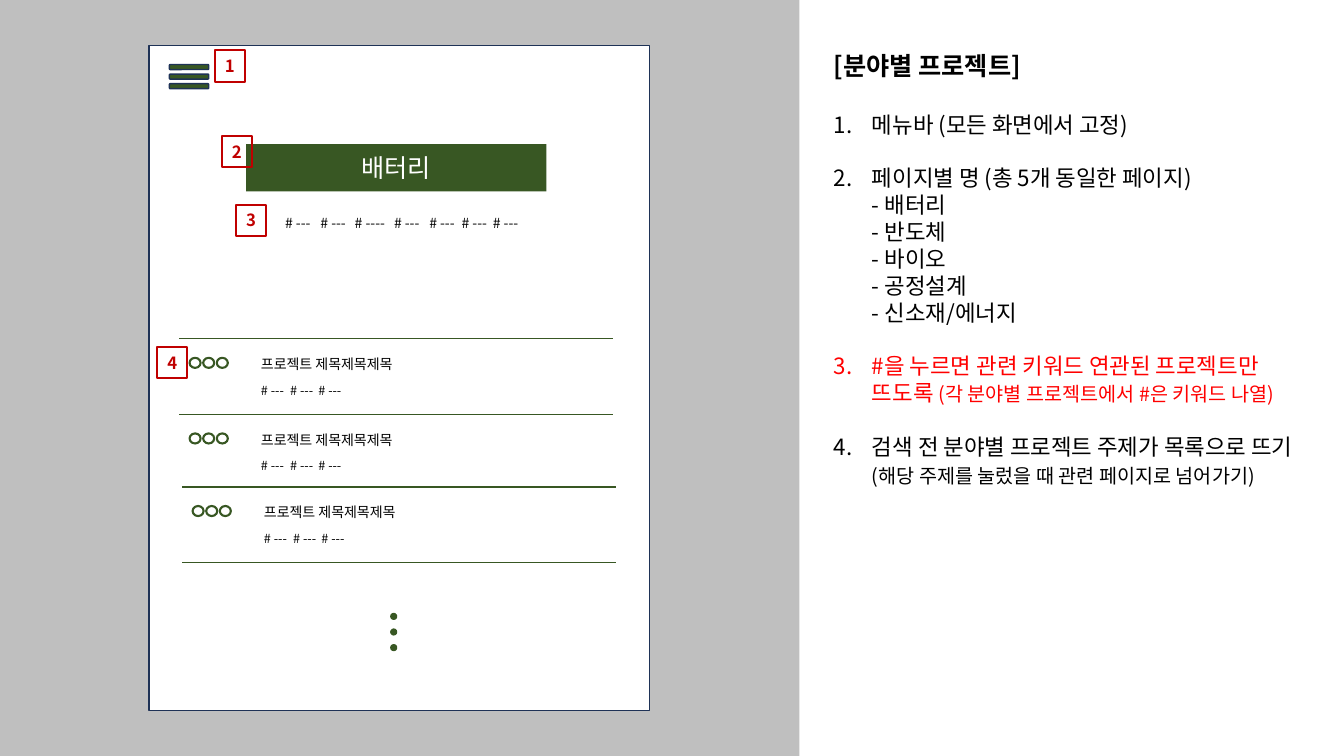
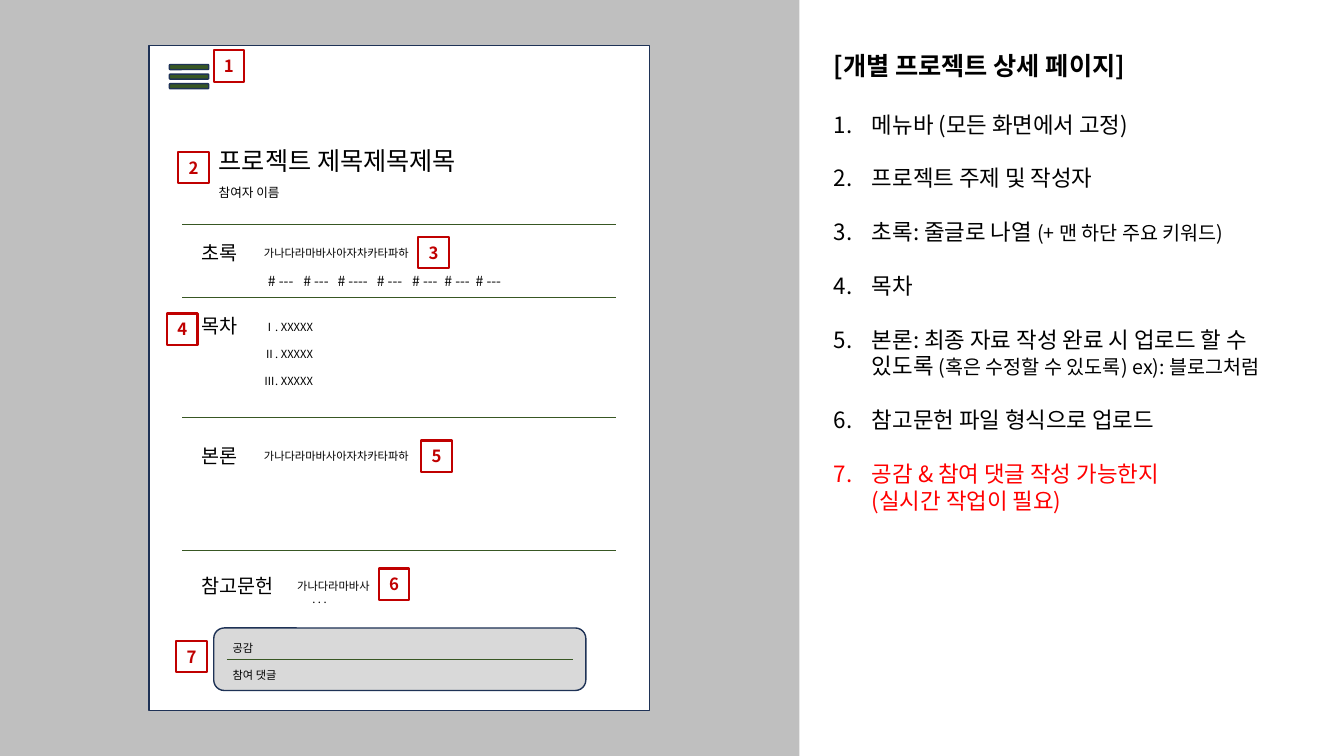
from lxml.etree import SubElement
from pptx import Presentation
from pptx.dml.color import RGBColor
from pptx.enum.shapes import MSO_CONNECTOR, MSO_SHAPE
from pptx.enum.text import MSO_ANCHOR, PP_ALIGN
from pptx.oxml.ns import qn
from pptx.util import Inches, Pt

BLACK = RGBColor(0x00, 0x00, 0x00)
WHITE = RGBColor(0xFF, 0xFF, 0xFF)
GRAY = RGBColor(0xBF, 0xBF, 0xBF)
PALE = RGBColor(0xD9, 0xD9, 0xD9)
GREEN = RGBColor(0x38, 0x57, 0x23)
NAVY = RGBColor(0x1E, 0x32, 0x56)
CRIMSON = RGBColor(0xC0, 0x00, 0x00)
RED = RGBColor(0xFF, 0x00, 0x00)
KR = "Noto Sans CJK KR"
SC = "Noto Sans CJK SC"
LEADING = 1.2


def draw(shapes, preset, box, fill=None, line=None, weight=1):
    part = shapes.add_shape(preset, *map(Inches, box))
    part.shadow.inherit = False
    if fill is None:
        part.fill.background()
    else:
        part.fill.solid()
        part.fill.fore_color.rgb = fill
    if line is None:
        part.line.fill.background()
    else:
        part.line.color.rgb = line
        part.line.width = Pt(weight)
    return part


def write(frame, paragraphs, name=KR, color=BLACK, bold=False, align=PP_ALIGN.LEFT):
    frame.word_wrap = True
    for index, (runs, before, tabs) in enumerate(paragraphs):
        paragraph = frame.add_paragraph() if index else frame.paragraphs[0]
        layout = {
            "alignment": align,
            "line_spacing": Pt(runs[0][1] * LEADING),
            "space_before": Pt(before * LEADING),
        }
        for key, value in layout.items():
            setattr(paragraph, key, value)
        if tabs:
            stops = SubElement(paragraph._p.get_or_add_pPr(), qn("a:tabLst"))
            for stop in tabs:
                SubElement(stops, qn("a:tab"), pos=str(Inches(stop)), algn="l")
        for text, size in runs:
            for number, line in enumerate(text.split("\n")):
                if number:
                    paragraph.add_line_break()
                if not line:
                    continue
                run = paragraph.add_run()
                run.text = line
                style = {"name": name, "size": Pt(size), "bold": bold}
                for key, value in style.items():
                    setattr(run.font, key, value)
                run.font.color.rgb = color
                SubElement(run._r.get_or_add_rPr(), qn("a:ea"), typeface=name)
    return frame


MENU_NOTE = [("메뉴바 (모든 화면에서 고정)", 16)]
SCREENS = [
    {
        "heading": "[분야별 프로젝트]",
        "notes": [
            MENU_NOTE,
            [("페이지별 명 (총 5개 동일한 페이지)\n- 배터리\n- 반도체\n- 바이오\n- 공정설계\n- 신소재/에너지", 16)],
            [("#을 누르면 관련 키워드 연관된 프로젝트만 뜨도록 ", 16),
             ("(각 분야별 프로젝트에서 #은 키워드 나열)", 14)],
            [("검색 전 분야별 프로젝트 주제가 목록으로 뜨기\n", 16),
             ("(해당 주제를 눌렀을 때 관련 페이지로 넘어가기)", 14)],
        ],
        "red_note": 3,
        "keywords": (2.73, 2.08),
        "rules": [(1.78, 3.36, 4.3), (1.78, 4.11, 4.3), (1.81, 4.83, 4.3), (1.81, 5.58, 4.3)],
        "markers": [(2.13, 0.5), (2.2, 1.35), (2.34, 2.03), (1.56, 3.44)],
    },
    {
        "heading": "[개별 프로젝트 상세 페이지]",
        "notes": [
            MENU_NOTE,
            [("프로젝트 주제 및 작성자", 16)],
            [("초록: 줄글로 나열 ", 16), ("(+ 맨 하단 주요 키워드)", 14)],
            [("목차", 16)],
            [("본론: 최종 자료 작성 완료 시 업로드 할 수 있도록 ", 16),
             ("(혹은 수정할 수 있도록) ex): 블로그처럼", 14)],
            [("참고문헌 파일 형식으로 업로드", 16)],
            [("공감 & 참여 댓글 작성 가능한지\n(실시간 작업이 필요)", 16)],
        ],
        "red_note": 7,
        "keywords": (2.56, 2.65),
        "rules": [(1.81, 2.23, 4.3), (1.81, 2.95, 4.3), (1.81, 4.14, 4.3), (1.81, 5.46, 4.3),
                  (2.25, 6.54, 3.43)],
        "markers": [(2.12, 0.5), (1.77, 1.51), (4.15, 2.35), (1.66, 3.11), (4.18, 4.37),
                    (3.76, 5.64), (1.75, 6.36)],
    },
]
KEYWORDS = "# ---\t# ---\t# ----\t# ---\t# ---\t# ---\t# ---"
KEYWORD_TABS = [0.35, 0.69, 1.08, 1.43, 1.75, 2.06]
PROJECT = [
    ([("프로젝트 제목제목제목", 10)], 0, None),
    ([("# ---\t# ---\t# ---", 9)], 6, [0.29, 0.57]),
]
SAMPLE = [([("가나다라마바사아자차카타파하", 8)], 0, None)]

deck = Presentation()
deck.slide_width = Inches(13.33)
deck.slide_height = Inches(7.5)
slides = []

for screen in SCREENS:
    slide = deck.slides.add_slide(deck.slide_layouts[6])
    slides.append(slide)
    draw(slide.shapes, MSO_SHAPE.RECTANGLE, (0, 0, 7.93, 7.5), GRAY)
    draw(slide.shapes, MSO_SHAPE.RECTANGLE, (1.48, 0.45, 4.96, 6.6), WHITE, NAVY)
    for bar in range(3):
        menu_box = (1.68, 0.64 + bar * 0.095, 0.39, 0.05)
        draw(slide.shapes, MSO_SHAPE.FLOWCHART_ALTERNATE_PROCESS, menu_box, GREEN, NAVY)

    notes = slide.shapes.add_textbox(*map(Inches, (8.17, 0.45, 4.93, 5.02))).text_frame
    items = [(runs, 16 if index else 18, None) for index, runs in enumerate(screen["notes"])]
    write(notes, [([(screen["heading"], 18)], 0, None)] + items, SC)
    for run in notes.paragraphs[0].runs:
        run.font.bold = True
    for paragraph in notes.paragraphs[1:]:
        properties = paragraph._p.get_or_add_pPr()
        properties.set("marL", str(Inches(0.38)))
        properties.set("indent", str(Inches(-0.38)))
        SubElement(properties, qn("a:buFont"), typeface="+mj-lt")
        SubElement(properties, qn("a:buAutoNum"), type="arabicPeriod")
    for run in notes.paragraphs[screen["red_note"]].runs:
        run.font.color.rgb = RED

    left, top = screen["keywords"]
    keywords = slide.shapes.add_textbox(*map(Inches, (left, top, 2.9, 0.27)))
    write(keywords.text_frame, [([(KEYWORDS, 10)], 0, KEYWORD_TABS)])

listing, detail = slides

banner = draw(listing.shapes, MSO_SHAPE.RECTANGLE, (2.44, 1.43, 2.98, 0.47), GREEN)
banner.text_frame.vertical_anchor = MSO_ANCHOR.MIDDLE
write(banner.text_frame, [([("배터리", 18)], 0, None)], color=WHITE, align=PP_ALIGN.CENTER)

for left, top, _ in SCREENS[0]["rules"][:-1]:
    rings = listing.shapes.add_group_shape()
    for ring in range(3):
        ring_box = (left + 0.1 + ring * 0.135, top + 0.19, 0.11, 0.1)
        draw(rings.shapes, MSO_SHAPE.OVAL, ring_box, None, GREEN, 1.5)
    project = listing.shapes.add_textbox(*map(Inches, (left + 0.71, top + 0.12, 1.96, 0.54)))
    write(project.text_frame, PROJECT)

for dot in range(3):
    draw(listing.shapes, MSO_SHAPE.OVAL, (3.88, 6.09 + dot * 0.155, 0.05, 0.05), GREEN, GREEN, 1.5)

draw(detail.shapes, MSO_SHAPE.ROUNDED_RECTANGLE, (2.12, 6.23, 3.69, 0.62), PALE, NAVY)
CAPTIONS = [
    ((2.07, 1.39, 3.52, 0.66), [([("프로젝트 제목제목제목", 18)], 0, None), ([("참여자 이름", 9)], 6, None)]),
    ((2.52, 2.39, 1.96, 0.24), SAMPLE),
    ((2.52, 3.13, 1.96, 0.77), [([("Ⅰ. XXXXX", 8)], 0, None), ([("Ⅱ. XXXXX", 8)], 8, None),
                                ([("Ⅲ. XXXXX", 8)], 8, None)]),
    ((2.52, 4.41, 1.96, 0.24), SAMPLE),
    ((2.85, 5.7, 1.96, 0.24), [([("가나다라마바사", 8)], 0, None)]),
    ((3.0, 5.83, 0.6, 0.24), [([(". . .", 8)], 0, None)]),
    ((2.21, 6.31, 1.96, 0.5), [([("공감", 8)], 0, None), ([("참여 댓글", 8)], 8, None)]),
]
for section, top in [("초록", 2.34), ("목차", 3.07), ("본론", 4.36), ("참고문헌", 5.64)]:
    CAPTIONS.append(((1.9, top, 0.95, 0.34), [([(section, 14)], 0, None)]))
for box, paragraphs in CAPTIONS:
    write(detail.shapes.add_textbox(*map(Inches, box)).text_frame, paragraphs)

for slide, screen in zip(slides, SCREENS):
    for left, top, length in screen["rules"]:
        ends = map(Inches, (left, top, left + length, top))
        rule = slide.shapes.add_connector(MSO_CONNECTOR.STRAIGHT, *ends)
        rule.line.color.rgb = GREEN
        rule.line.width = Pt(1)
        SubElement(rule._element.spPr, qn("a:effectLst"))
    for number, (left, top) in enumerate(screen["markers"], 1):
        marker = draw(slide.shapes, MSO_SHAPE.RECTANGLE, (left, top, 0.3, 0.31), None, CRIMSON, 1.5)
        marker.text_frame.vertical_anchor = MSO_ANCHOR.MIDDLE
        write(marker.text_frame, [([(str(number), 12)], 0, None)], SC, CRIMSON, True, PP_ALIGN.CENTER)

deck.save("out.pptx")
